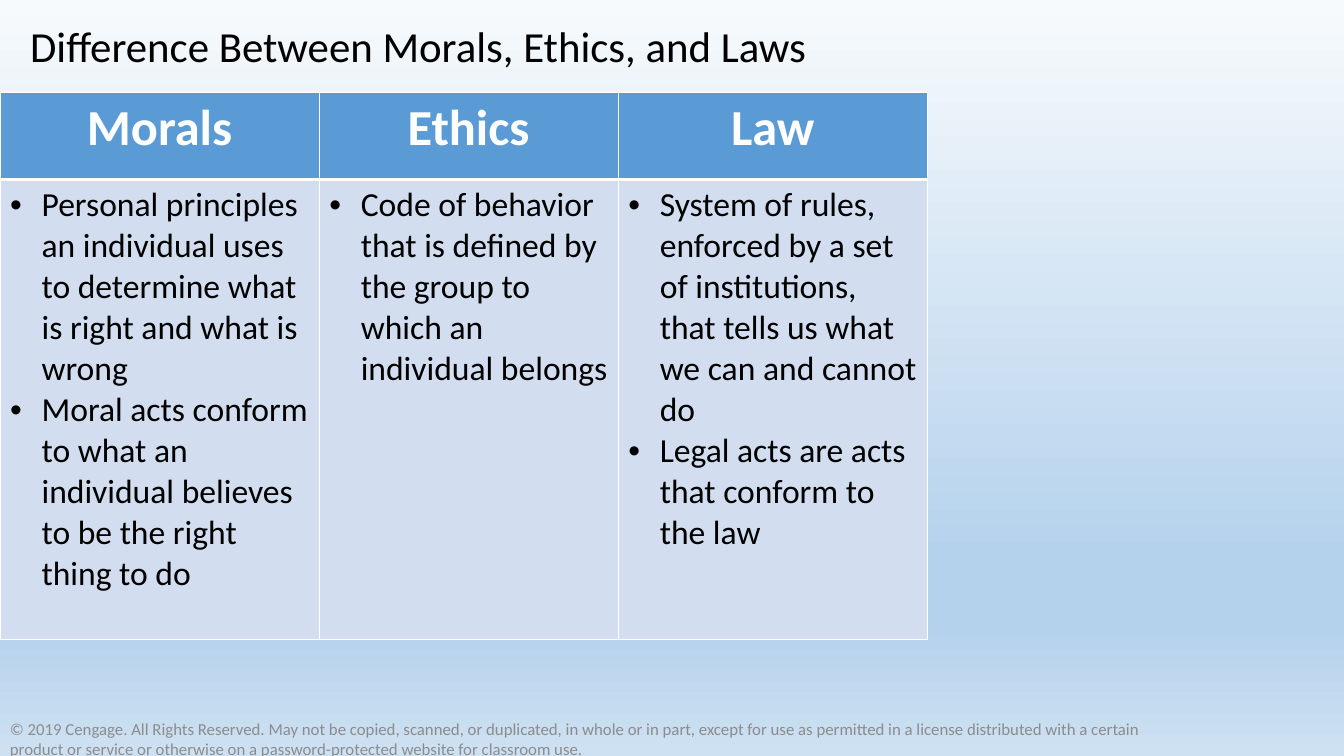
from dataclasses import dataclass

import pptx
import pptx.util
import pptx.dml.color
import pptx.enum.text
from lxml import etree
from pptx.oxml.ns import qn

Pt = pptx.util.Pt
PP_ALIGN = pptx.enum.text.PP_ALIGN


@dataclass(frozen=True)
class Theme:
    font: str = "Calibri"
    ink: str = "000000"
    white: str = "FFFFFF"
    footer_ink: str = "8C8C8C"
    header_fill: str = "5B9BD5"
    body_fill: str = "D2DEEF"
    backdrop: tuple = ((0, "F7FAFD"), (74, "B5D2EC"), (83, "B5D2EC"), (100, "CEE1F2"))
    title_size: float = 30.6
    header_size: float = 36
    body_size: float = 24
    footer_size: float = 12


THEME = Theme()

CONCEPTS = {
    "Morals": [
        "Personal principles an individual uses to determine what is right and what is wrong",
        "Moral acts conform to what an individual believes to be the right thing to do",
    ],
    "Ethics": [
        "Code of behavior that is defined by the group to which an individual belongs",
    ],
    "Law": [
        "System of rules, enforced by a set of institutions, that tells us what we can and cannot do",
        "Legal acts are acts that conform to the law",
    ],
}
COPYRIGHT = (
    "© 2019 Cengage. All Rights Reserved. May not be copied, scanned, or duplicated, "
    "in whole or in part, except for use as permitted in a license distributed with a "
    "certain product or service or otherwise on a password-protected website for classroom use."
)


def rgb(value):
    return pptx.dml.color.RGBColor.from_string(value)


def style(paragraph, size, color, bold=False):
    font = paragraph.font
    font.name, font.size, font.bold = THEME.font, Pt(size), bold
    font.color.rgb = rgb(color)


def paint_backdrop(slide):
    fill = slide.background.fill
    fill.gradient()
    fill.gradient_angle = 270
    stops = next(slide.element.iter(qn("a:gsLst")))
    for stop in list(stops):
        stops.remove(stop)
    for percent, color in THEME.backdrop:
        stop = etree.SubElement(stops, qn("a:gs"), pos=str(percent * 1000))
        etree.SubElement(stop, qn("a:srgbClr"), val=color)


def add_line_of_text(slide, box, text, size, color, line_spacing=1.0):
    """Add one wrapped paragraph, centred vertically in box."""
    frame = slide.shapes.add_textbox(*map(Pt, box)).text_frame
    frame.word_wrap = True
    frame.vertical_anchor = pptx.enum.text.MSO_ANCHOR.MIDDLE
    paragraph = frame.paragraphs[0]
    paragraph.text = text
    paragraph.line_spacing = line_spacing
    style(paragraph, size, color)


def add_bullet(paragraph, indent=22.5):
    properties = paragraph._p.get_or_add_pPr()
    properties.set("marL", str(Pt(indent)))
    properties.set("indent", str(-Pt(indent)))
    etree.SubElement(properties, qn("a:buFont"), typeface="Arial")
    etree.SubElement(properties, qn("a:buChar"), char="•")


def finish_cell(cell, fill, top=1, bottom=1):
    """Fill the cell and rule its edges in white, widths in points."""
    cell.fill.solid()
    cell.fill.fore_color.rgb = rgb(fill)
    properties = cell._tc.get_or_add_tcPr()
    edges = {"a:lnL": 1, "a:lnR": 1, "a:lnT": top, "a:lnB": bottom}
    for place, (edge, width) in enumerate(edges.items()):
        line = etree.Element(qn(edge), w=str(Pt(width)))
        solid = etree.SubElement(line, qn("a:solidFill"))
        etree.SubElement(solid, qn("a:srgbClr"), val=THEME.white)
        properties.insert(place, line)


def add_comparison(slide, box, column_widths, header_height):
    left, top, width, height = box
    table = slide.shapes.add_table(2, len(CONCEPTS), *map(Pt, box)).table
    table.rows[0].height = Pt(header_height)
    table.rows[1].height = Pt(height - header_height)
    for index, (concept, points) in enumerate(CONCEPTS.items()):
        table.columns[index].width = Pt(column_widths[index])
        header, body = table.cell(0, index), table.cell(1, index)

        heading = header.text_frame.paragraphs[0]
        heading.text = concept
        heading.alignment = PP_ALIGN.CENTER
        style(heading, THEME.header_size, THEME.white, bold=True)
        finish_cell(header, THEME.header_fill, bottom=3)

        body.text_frame.text = "\n".join(points)
        for paragraph in body.text_frame.paragraphs:
            add_bullet(paragraph)
            style(paragraph, THEME.body_size, THEME.ink)
        finish_cell(body, THEME.body_fill, top=3)


def main():
    deck = pptx.Presentation()
    deck.slide_width, deck.slide_height = Pt(960), Pt(540)
    slide = deck.slides.add_slide(deck.slide_layouts[6])
    paint_backdrop(slide)
    add_comparison(slide, (0, 66.3, 662.6, 390.6), (228, 213.6, 221), 62)
    add_line_of_text(slide, (14.4, 17.3, 625.7, 35.3),
                     "Difference Between Morals, Ethics, and Laws",
                     THEME.title_size, THEME.ink, line_spacing=0.9)
    add_line_of_text(slide, (0, 515.5, 845.3, 24.5), COPYRIGHT,
                     THEME.footer_size, THEME.footer_ink)
    deck.save("out.pptx")


if __name__ == "__main__":
    main()
